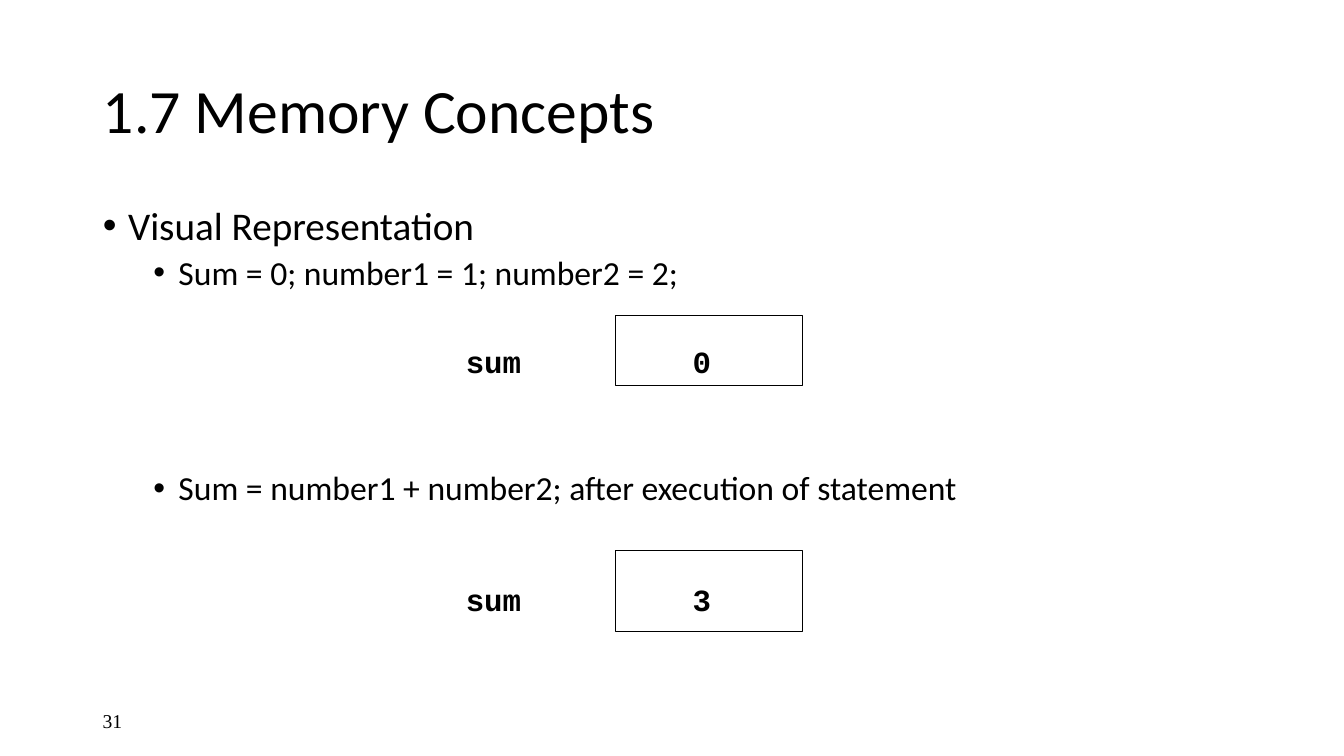
from lxml import etree
from pptx import Presentation
from pptx.dml.color import RGBColor
from pptx.enum.shapes import MSO_SHAPE
from pptx.enum.text import MSO_ANCHOR, MSO_AUTO_SIZE, PP_ALIGN
from pptx.oxml.ns import qn
from pptx.util import Inches, Pt

RECTANGLE = MSO_SHAPE.RECTANGLE
TOP, MIDDLE = MSO_ANCHOR.TOP, MSO_ANCHOR.MIDDLE
NO_AUTOFIT = MSO_AUTO_SIZE.NONE
LEFT = PP_ALIGN.LEFT

BLACK, WHITE = "000000", "FFFFFF"
TITLE = "1.7 Memory Concepts"
PAGE_NUMBER = "31"
# text, level, size, space before, left margin; the last bullet leaves room for the first memory box
BULLETS = [
    ("Visual Representation", 0, 28, 10, 0.25),
    ("Sum = 0; number1 = 1; number2 = 2;", 1, 24, 5, 0.75),
    ("Sum = number1 + number2; after execution of statement", 1, 24, 128, 0.75),
]
# variable, value, box top, box height, text top
MEMORY_CELLS = [
    ("sum", "0", 3.13, 0.69, 3.4),
    ("sum", "3", 5.46, 0.8, 5.76),
]
BOX_LEFT, BOX_WIDTH = 6.1, 1.86
NAME_LEFT, VALUE_LEFT = 4.62, 6.87
BODY_FONT = {"name": "Calibri", "bold": False}
CODE_FONT = {"name": "Courier New", "size": Pt(22), "bold": True}
NUMBER_FONT = {"name": "Times New Roman", "size": Pt(14)}


def color(hex_string):
    return RGBColor.from_string(hex_string)


def place(shape, left, top, width, height):
    shape.left, shape.top = Inches(left), Inches(top)
    shape.width, shape.height = Inches(width), Inches(height)


def write(paragraph, text, font):
    run = paragraph.add_run()
    run.text = text
    for name, value in font.items():
        setattr(run.font, name, value)
    run.font.color.rgb = color(BLACK)
    paragraph.alignment = LEFT


def add_label(slide, text, box, font, **frame_format):
    label = slide.shapes.add_textbox(*map(Inches, box))
    for name, value in frame_format.items():
        setattr(label.text_frame, name, value)
    write(label.text_frame.paragraphs[0], text, font)


def set_bullet(paragraph, margin):
    properties = paragraph._p.get_or_add_pPr()
    properties.set("marL", str(Inches(margin)))
    properties.set("indent", str(Inches(-0.25)))
    etree.SubElement(properties, qn("a:buFont"), typeface="Arial")
    etree.SubElement(properties, qn("a:buChar"), char="•")


def add_memory_cell(slide, name, value, top, height, text_top):
    box = slide.shapes.add_shape(
        RECTANGLE, *map(Inches, (BOX_LEFT, top, BOX_WIDTH, height)))
    box.shadow.inherit = False
    box.fill.solid()
    box.fill.fore_color.rgb = color(WHITE)
    box.line.color.rgb = color(BLACK)
    box.line.width = Pt(0.5)
    for text, left, width in ((name, NAME_LEFT, 0.56), (value, VALUE_LEFT, 0.19)):
        add_label(slide, text, (left, text_top, width, 0.29), CODE_FONT,
                  margin_left=0, margin_right=0, margin_top=0, margin_bottom=0,
                  word_wrap=False)


def main():
    presentation = Presentation()
    presentation.slide_width = Inches(13.33)
    presentation.slide_height = Inches(7.5)
    slide = presentation.slides.add_slide(presentation.slide_layouts[1])

    title, body = slide.placeholders
    place(title, 0.92, 0.4, 11.5, 1.45)
    place(body, 0.92, 2, 11.5, 4.76)
    for shape, anchor in ((title, MIDDLE), (body, TOP)):
        shape.text_frame.auto_size = NO_AUTOFIT
        shape.text_frame.vertical_anchor = anchor

    heading = title.text_frame.paragraphs[0]
    heading.line_spacing = 0.9
    write(heading, TITLE, {**BODY_FONT, "size": Pt(44)})

    for index, (text, level, size, space, margin) in enumerate(BULLETS):
        frame = body.text_frame
        paragraph = frame.add_paragraph() if index else frame.paragraphs[0]
        paragraph.level = level
        paragraph.line_spacing = 0.9
        paragraph.space_before = Pt(space)
        set_bullet(paragraph, margin)
        write(paragraph, text, {**BODY_FONT, "size": Pt(size)})

    for cell in MEMORY_CELLS:
        add_memory_cell(slide, *cell)
    add_label(slide, PAGE_NUMBER, (0.92, 6.95, 3, 0.4), NUMBER_FONT,
              vertical_anchor=MIDDLE, word_wrap=True)

    presentation.save("out.pptx")


if __name__ == "__main__":
    main()
